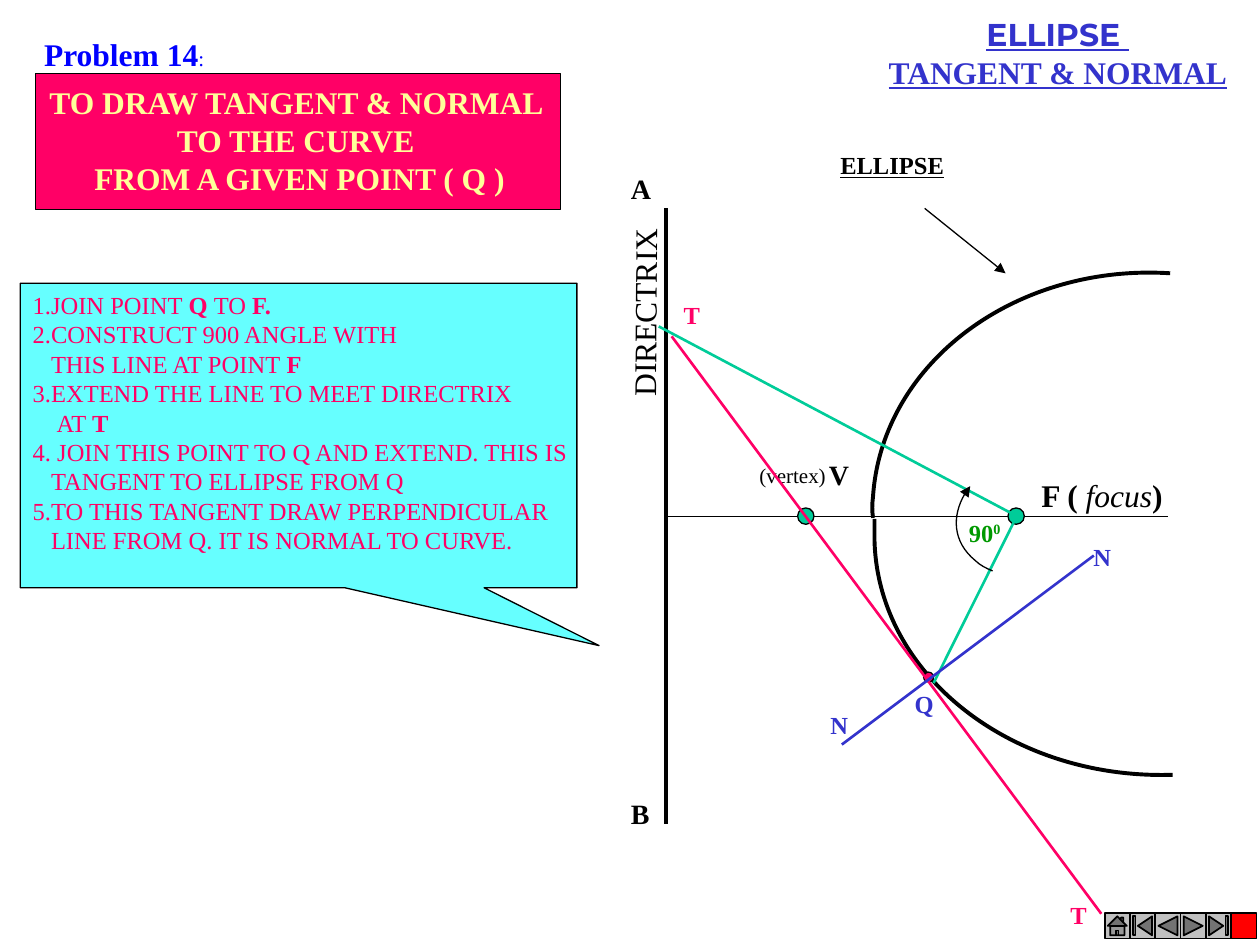
from dataclasses import dataclass
from typing import NamedTuple

import lxml.etree
import pptx
import pptx.dml.color
import pptx.enum.shapes
import pptx.enum.text
import pptx.oxml.ns
import pptx.util

Cm = pptx.util.Cm
Pt = pptx.util.Pt
qn = pptx.oxml.ns.qn
Shape = pptx.enum.shapes.MSO_SHAPE
Align = pptx.enum.text.PP_ALIGN


@dataclass(frozen=True)
class Theme:
    font: str = "Times New Roman"
    title_font: str = "Montserrat"
    black: str = "000000"
    blue: str = "3333CC"
    bright_blue: str = "0000FF"
    pink: str = "FF0066"
    teal: str = "00CC99"
    green: str = "009900"
    yellow: str = "FFFF99"
    cyan: str = "66FFFF"
    grey: str = "C0C0C0"
    red: str = "FF0000"
    heading: int = 18
    letter: int = 16
    body: int = 14
    small: int = 12
    thin: float = 0.75
    button: float = 1
    medium: float = 1.5
    thick: float = 2.25


THEME = Theme()


class Box(NamedTuple):
    left: float
    top: float
    width: float
    height: float


class Span(NamedTuple):
    text: str
    style: dict = {}


class Para(NamedTuple):
    spans: list
    indent: float = 0


class Label(NamedTuple):
    text: str
    left: float
    top: float
    size: int
    color: str


class Line(NamedTuple):
    start: tuple
    end: tuple
    color: str
    width: float
    arrow: bool = False


class Curve(NamedTuple):
    points: list
    width: float
    arrow: bool = False


class Dot(NamedTuple):
    left: float
    top: float
    size: float
    color: str


def rgb(code: str) -> pptx.dml.color.RGBColor:
    return pptx.dml.color.RGBColor.from_string(code)


def style_span(run, size=THEME.body, color=THEME.black, font=THEME.font,
               bold=False, italic=False, underline=False, superscript=False) -> None:
    run.font.size = Pt(size)
    run.font.name = font
    run.font.color.rgb = rgb(color)
    run.font.bold = bold
    run.font.italic = italic
    run.font.underline = underline
    if superscript:
        run.font._element.set("baseline", "30000")


def add_text(slide, box: Box, paras: list, align=Align.LEFT, wrap=False, rotation=0, **style):
    shape = slide.shapes.add_textbox(*map(Cm, box))
    shape.rotation = rotation
    frame = shape.text_frame
    frame.word_wrap = wrap
    frame.auto_size = pptx.enum.text.MSO_AUTO_SIZE.SHAPE_TO_FIT_TEXT
    for index, para in enumerate(paras):
        paragraph = frame.paragraphs[0] if index == 0 else frame.add_paragraph()
        paragraph.alignment = align
        if para.indent:
            paragraph._p.get_or_add_pPr().set("marL", str(Cm(para.indent)))
        for span in para.spans:
            run = paragraph.add_run()
            run.text = span.text
            style_span(run, **{**style, **span.style})
    return shape


def add_label(slide, label: Label) -> None:
    add_text(slide, Box(label.left, label.top, 0.88, 0.88), [Para([Span(label.text)])],
             size=label.size, color=label.color, bold=True)


def style_line(shape, color: str, width: float, arrow: bool = False) -> None:
    shape.line.color.rgb = rgb(color)
    shape.line.width = Pt(width)
    if arrow:
        outline = shape._element.spPr.find(qn("a:ln"))
        lxml.etree.SubElement(outline, qn("a:tailEnd"), type="triangle")


def add_line(slide, line: Line) -> None:
    connector = slide.shapes.add_connector(
        pptx.enum.shapes.MSO_CONNECTOR.STRAIGHT, *map(Cm, line.start + line.end))
    style_line(connector, line.color, line.width, line.arrow)
    lxml.etree.SubElement(connector._element.spPr, qn("a:effectLst"))


def add_shape(slide, kind, box: Box, fill: str, width: float = THEME.thin):
    shape = slide.shapes.add_shape(kind, *map(Cm, box))
    shape.shadow.inherit = False
    shape.fill.solid()
    shape.fill.fore_color.rgb = rgb(fill)
    style_line(shape, THEME.black, width)
    return shape


def add_curve(slide, curve: Curve) -> None:
    start, *others = [tuple(map(Cm, point)) for point in curve.points]
    builder = slide.shapes.build_freeform(*start)
    builder.add_line_segments(others, close=False)
    shape = builder.convert_to_shape()
    segments = list(shape._element.iter(qn("a:lnTo")))
    for first in range(0, len(segments), 3):
        bezier = segments[first]
        bezier.tag = qn("a:cubicBezTo")
        for segment in segments[first + 1:first + 3]:
            bezier.append(segment[0])
            segment.getparent().remove(segment)
    shape.shadow.inherit = False
    shape.fill.background()
    style_line(shape, THEME.black, curve.width, curve.arrow)


def draw_diagram(slide) -> None:
    t = THEME
    bold = {"bold": True}
    add_text(slide, Box(20.73, 9.47, 2.97, 1.02),
             [Para([Span("F ( ", bold), Span("focus", {"italic": True}), Span(")", bold)])],
             align=Align.CENTER, size=t.heading)
    add_text(slide, Box(11.04, 5.79, 3.89, 1.02), [Para([Span("DIRECTRIX")])],
             rotation=270.3, size=t.heading)
    add_text(slide, Box(16.69, 2.9, 6.2, 0.84), [Para([Span("ELLIPSE")])],
             wrap=True, bold=True, underline=True)
    add_text(slide, Box(15.06, 9.19, 1.85, 0.76), [Para([Span("(vertex)")])], size=t.small)
    add_text(slide, Box(19.28, 10.31, 1.17, 0.84),
             [Para([Span("90"), Span("0", {"superscript": True})])], color=t.green, bold=True)
    for label in (Label("V", 16.46, 9.09, t.letter, t.black),
                  Label("A", 12.47, 3.33, t.letter, t.black),
                  Label("B", 12.47, 15.93, t.letter, t.black),
                  Label("T", 13.53, 5.92, t.body, t.pink),
                  Label("T", 21.33, 18.01, t.body, t.pink),
                  Label("N", 16.49, 14.18, t.body, t.blue),
                  Label("N", 21.79, 10.8, t.body, t.blue),
                  Label("Q", 18.19, 13.77, t.body, t.blue)):
        add_label(slide, label)
    for line in (Line((13.41, 10.41), (23.55, 10.41), t.black, t.thin),
                 Line((13.42, 4.2), (13.42, 16.61), t.black, t.thick),
                 Line((18.64, 4.2), (20.27, 5.51), t.black, t.thin, True)):
        add_line(slide, line)
    for curve in (
            Curve([(23.59, 5.51), (20.47, 5.31), (17.78, 7.32), (17.6, 10.01),
                   (17.58, 10.16), (17.58, 10.31), (17.6, 10.44)], t.thick),
            Curve([(23.64, 15.62), (20.4, 15.72), (17.7, 13.61), (17.63, 10.9),
                   (17.63, 10.74), (17.63, 10.62), (17.63, 10.46)], t.thick)):
        add_curve(slide, curve)
    for dot in (Dot(16.08, 10.24, 0.33, t.teal),
                Dot(20.32, 10.24, 0.33, t.teal),
                Dot(18.62, 13.55, 0.2, t.pink)):
        add_shape(slide, Shape.OVAL, Box(dot.left, dot.top, dot.size, dot.size), dot.color)
    for line in (Line((18.82, 13.77), (20.52, 10.36), t.teal, t.medium),
                 Line((20.47, 10.39), (13.28, 6.58), t.teal, t.medium),
                 Line((13.54, 6.78), (22.2, 18.42), t.pink, t.medium),
                 Line((16.97, 15.01), (22.05, 11.2), t.blue, t.medium)):
        add_line(slide, line)
    add_curve(slide, Curve([(20.01, 11.51), (19.89, 11.46), (19.76, 11.4), (19.66, 11.3),
                            (19.2, 10.92), (19.18, 10.26), (19.56, 9.8)], t.thin, True))


def draw_panels(slide) -> None:
    t = THEME
    bold = {"bold": True}
    add_text(slide, Box(17.63, 0.18, 7.39, 1.78),
             [Para([Span("ELLIPSE ", {"font": t.title_font})]), Para([Span("TANGENT & NORMAL")])],
             align=Align.CENTER, size=t.heading, color=t.blue, bold=True, underline=True)
    add_shape(slide, Shape.RECTANGLE, Box(0.72, 1.48, 10.58, 2.75), t.pink)
    banner = ("TO DRAW TANGENT & NORMAL ", "TO THE CURVE ", "FROM A GIVEN POINT ( Q )")
    add_text(slide, Box(0.64, 1.55, 10.8, 2.54), [Para([Span(text)]) for text in banner],
             align=Align.CENTER, size=t.heading, color=t.yellow, bold=True)
    callout = add_shape(slide, Shape.RECTANGULAR_CALLOUT, Box(0.41, 5.71, 11.22, 6.14), t.cyan)
    callout.adjustments[0], callout.adjustments[1] = 0.54, 0.69
    indent = 0.37
    steps = [
        Para([Span("1.JOIN POINT "), Span("Q ", bold), Span("TO "), Span("F.", bold)]),
        Para([Span("2.CONSTRUCT 900 ANGLE WITH")]),
        Para([Span("THIS LINE AT POINT"), Span(" F", bold)], indent),
        Para([Span("3.EXTEND THE LINE TO MEET DIRECTRIX")]),
        Para([Span("AT "), Span("T", bold)], 0.48),
        Para([Span("4. JOIN THIS POINT TO Q AND EXTEND. THIS IS")]),
        Para([Span("TANGENT TO ELLIPSE FROM Q")], indent),
        Para([Span("5.TO THIS TANGENT DRAW PERPENDICULAR")]),
        Para([Span("LINE FROM Q. IT IS NORMAL TO CURVE.")], indent),
    ]
    add_text(slide, Box(0.41, 5.72, 11.46, 6.17), steps, color=t.pink)
    add_text(slide, Box(0.64, 0.58, 3.76, 1.02),
             [Para([Span("Problem 14", {"size": t.heading, "bold": True}), Span(":")])],
             size=t.small, color=t.bright_blue)


def draw_buttons(slide) -> None:
    side = 0.51
    kinds = ("HOME", "BEGINNING", "BACK_OR_PREVIOUS", "FORWARD_OR_NEXT", "END", "CUSTOM")
    for index, kind in enumerate(kinds):
        fill = THEME.red if kind == "CUSTOM" else THEME.grey
        add_shape(slide, Shape["ACTION_BUTTON_" + kind],
                  Box(22.27 + index * side, 18.41, side, side), fill, THEME.button)


def main() -> None:
    deck = pptx.Presentation()
    deck.slide_width, deck.slide_height = Cm(25.4), Cm(19.05)
    slide = deck.slides.add_slide(deck.slide_layouts[6])
    draw_diagram(slide)
    draw_panels(slide)
    draw_buttons(slide)
    deck.save("out.pptx")


if __name__ == "__main__":
    main()
